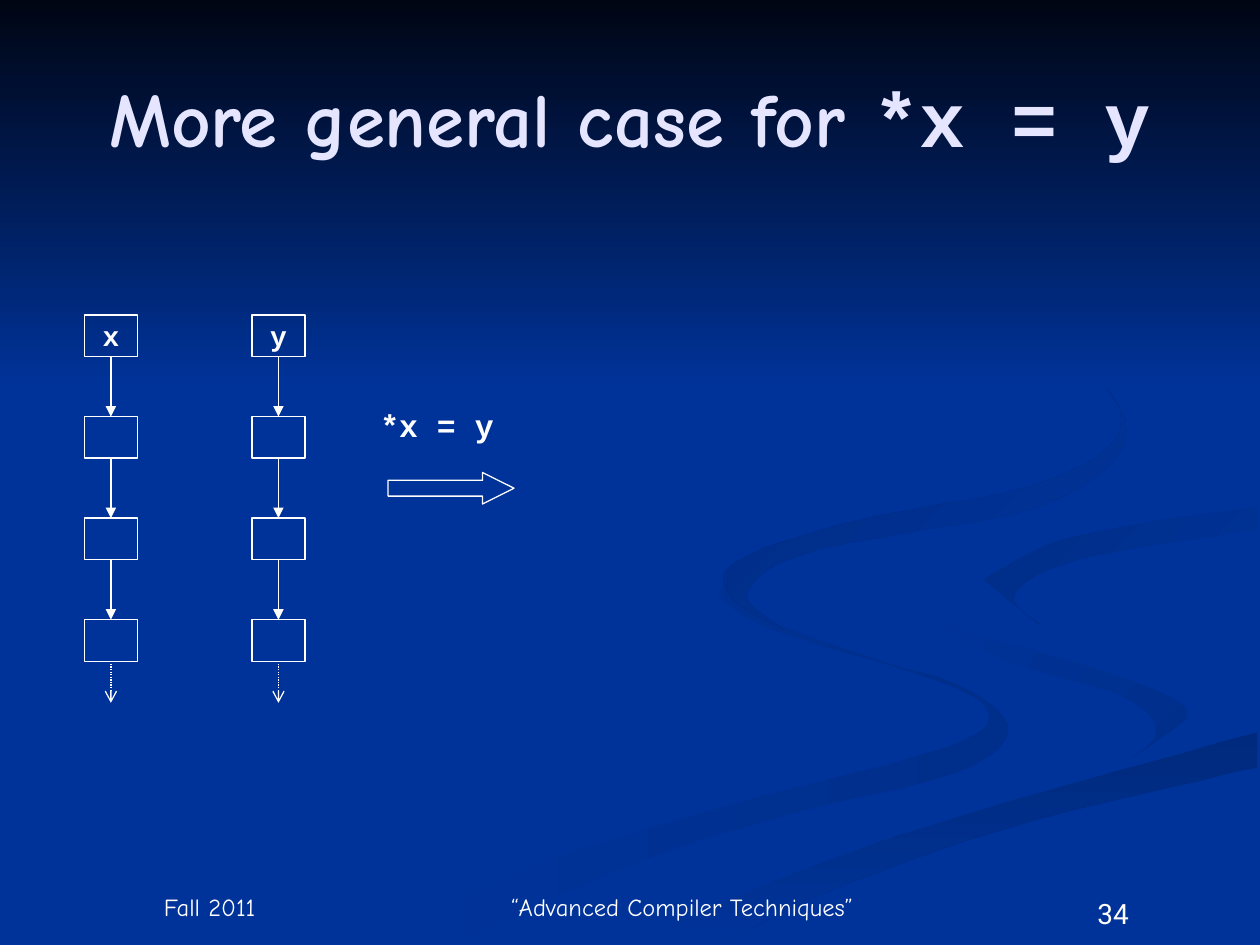
from lxml import etree
from pptx import Presentation
from pptx import util as u
from pptx.dml.color import RGBColor
from pptx.enum import dml, shapes, text
from pptx.oxml.ns import qn

COLORS = {
    "blue": "003399", "night": "000514", "white": "FFFFFF", "title": "E5E5FF",
    "shade1": "002E8B", "shade2": "002A7D", "shade3": "002D86", "shade4": "002B82",
}
BODY, CODE, NUMBER = "Comic Neue", "Courier New", "Roboto"
W, H = 10, 7.5
COLUMNS = {"x": 0.67, "y": 2.0}
BOX_W, BOX_H = 0.42, 0.33
TOP, PITCH, ROWS = 2.5, 0.806, 4
TAIL = 0.33
POINTS_PER_INCH = 100
STEPS = 6

EDGES = {
    "left outer": [(574, 464), (594, 485), (682, 519), (767, 547), (800, 581),
                   (756, 614), (623, 647), (499, 687), (361, 749)],
    "left inner": [(300, 749), (417, 690), (579, 639), (749, 594), (785, 566),
                   (741, 539), (611, 499), (570, 472)],
    "bend": [(725, 464), (758, 498), (850, 524), (930, 553), (943, 570)],
    "bend inner": [(894, 605), (918, 581), (892, 553), (797, 524), (733, 488)],
    "bend end": [(943, 570), (881, 608), (663, 668), (477, 749)],
    "diagonal": [(503, 749), (630, 693), (764, 647), (998, 581)],
    "diagonal low": [(998, 609), (821, 651), (670, 702), (571, 749)],
    "right low": [(998, 538), (848, 503), (781, 460)],
    "right mid": [(781, 460), (849, 427), (998, 402)],
    "right top": [(998, 387), (788, 422), (725, 464)],
    "hook": [(998, 420), (859, 443), (805, 472), (826, 496), (781, 460)],
    "top inner": [(762, 233), (870, 299), (886, 348), (818, 386), (676, 414),
                  (584, 446), (580, 474), (622, 500)],
    "top outer": [(622, 500), (593, 470), (649, 436), (825, 402), (894, 344),
                  (843, 275), (762, 233)],
}
RIBBONS = [
    ("blue", "shade1", 0, ["left outer", "left inner"]),
    ("blue", "shade1", 45, ["bend", "bend inner"]),
    ("shade2", "blue", 90, ["diagonal", "diagonal low"]),
    ("blue", "blue", 0, ["bend", "bend end", "diagonal", "right low",
                         "right mid", "right top"]),
    ("shade3", "blue", 45, ["right mid", "hook"]),
    ("shade4", "blue", 45, ["top inner", "top outer"]),
]


def color(name):
    return RGBColor.from_string(COLORS[name])


def blend(a, b, c, d, t):
    return (2 * b + (c - a) * t + (2 * a - 5 * b + 4 * c - d) * t ** 2
            + (3 * b - a - 3 * c + d) * t ** 3) / 2


def smooth(knots):
    ends = [knots[0], *knots, knots[-1]]
    points = [tuple(blend(*axis, step / STEPS) for axis in zip(*ends[i:i + 4]))
              for i in range(len(knots) - 1) for step in range(STEPS)]
    return points + [knots[-1]]


def backdrop(s, start, end, angle, points):
    fb = s.shapes.build_freeform(*points[0], scale=u.Inches(1) / POINTS_PER_INCH)
    fb.add_line_segments(points[1:], close=True)
    sp = fb.convert_to_shape()
    sp.shadow.inherit = False
    sp.line.fill.background()
    if start == end:
        sp.fill.solid()
        sp.fill.fore_color.rgb = color(start)
        return
    sp.fill.gradient()
    sp.fill.gradient_angle = (360 - angle) % 360
    for stop, name in zip(sp.fill.gradient_stops, (start, end)):
        stop.color.rgb = color(name)


def style(r, size, font, bold=False, name="white"):
    r.font.size = u.Pt(size)
    r.font.name = font
    r.font.bold = bold
    r.font.color.rgb = color(name)


def write(sp, words, size, font, bold=False, wrap=True,
          align=text.PP_ALIGN.CENTER, anchor=text.MSO_ANCHOR.MIDDLE):
    tf = sp.text_frame
    tf.text = words
    tf.word_wrap = wrap
    tf.vertical_anchor = anchor
    p = tf.paragraphs[0]
    p.alignment = align
    style(p.runs[0], size, font, bold)
    return p


def label(s, x, y, w, h, words, size, font, **options):
    sp = s.shapes.add_textbox(*map(u.Inches, (x, y, w, h)))
    return write(sp, words, size, font, **options)


def outline(s, kind, x, y, w, h):
    sp = s.shapes.add_shape(kind, *map(u.Inches, (x, y, w, h)))
    sp.shadow.inherit = False
    sp.fill.background()
    sp.line.color.rgb = color("white")
    sp.line.width = u.Pt(0.75)
    return sp


def arrow(s, x, y1, y2, head="triangle", dash=None):
    c = s.shapes.add_connector(shapes.MSO_CONNECTOR.STRAIGHT,
                               *map(u.Inches, (x, y1, x, y2)))
    c.line.color.rgb = color("white")
    c.line.width = u.Pt(0.75)
    if dash:
        c.line.dash_style = dash
    etree.SubElement(c.line._get_or_add_ln(), qn("a:tailEnd"), type=head)
    etree.SubElement(c._element.spPr, qn("a:effectLst"))


def chain(s, name, x):
    mid = x + BOX_W / 2
    for row in range(ROWS):
        y = TOP + row * PITCH
        sp = outline(s, shapes.MSO_SHAPE.RECTANGLE, x, y, BOX_W, BOX_H)
        if row == 0:
            write(sp, name, 16, CODE, bold=True, wrap=False)
        if row < ROWS - 1:
            arrow(s, mid, y + BOX_H, y + PITCH)
        else:
            arrow(s, mid, y + BOX_H, y + BOX_H + TAIL, "arrow",
                  dml.MSO_LINE.ROUND_DOT)


def title(s):
    sp = s.shapes.title
    sp.left, sp.top, sp.width, sp.height = map(
        u.Inches, (0.05 * W, 0.04 * H, 0.9 * W, 1.25))
    p = write(sp, "More general case for ", 44, BODY)
    p.add_run().text = "*x = y"
    for r, font in zip(p.runs, (BODY, CODE)):
        style(r, 44, font, True, "title")
    sp._element.getparent().append(sp._element)


def main():
    prs = Presentation()
    prs.slide_width, prs.slide_height = u.Inches(W), u.Inches(H)
    s = prs.slides.add_slide(prs.slide_layouts[5])
    s.background.fill.solid()
    s.background.fill.fore_color.rgb = color("blue")
    for start, end, angle, edges in RIBBONS:
        points = [pt for edge in edges for pt in smooth(EDGES[edge])]
        backdrop(s, start, end, angle, points)
    right, low = W * POINTS_PER_INCH, 308
    backdrop(s, "night", "blue", 90, [(0, 0), (0, low), (right, low), (right, 0)])
    p = label(s, 8, 7.07, 1.67, 0.4, "34", 16, NUMBER, anchor=text.MSO_ANCHOR.TOP)
    p.space_before = u.Pt(10)
    for x, w, words in ((0.5, 2.33, "Fall 2011"),
                        (3.83, 3.17, "“Advanced Compiler Techniques”")):
        label(s, x, 7, w, 0.36, words, 14, BODY, anchor=text.MSO_ANCHOR.BOTTOM)
    for name, x in COLUMNS.items():
        chain(s, name, x)
    label(s, 2.92, 3.17, 1.1, 0.4, "*x = y", 18, CODE, bold=True, wrap=False,
          align=text.PP_ALIGN.LEFT, anchor=text.MSO_ANCHOR.TOP)
    sp = outline(s, shapes.MSO_SHAPE.RIGHT_ARROW, 3.08, 3.75, 1, 0.25)
    sp.adjustments[0], sp.adjustments[1] = 0.5, 1
    title(s)
    prs.save("out.pptx")


if __name__ == "__main__":
    main()
